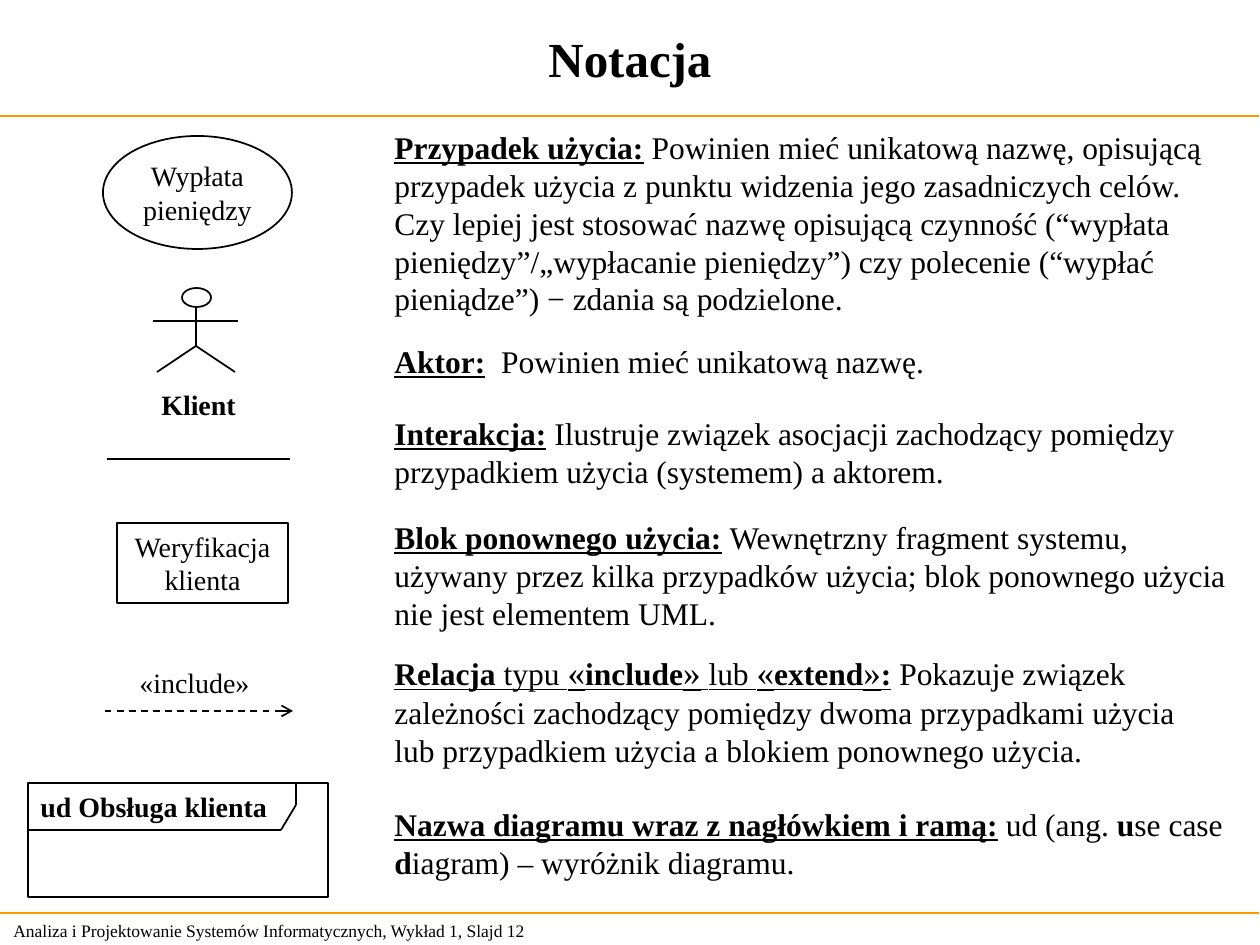
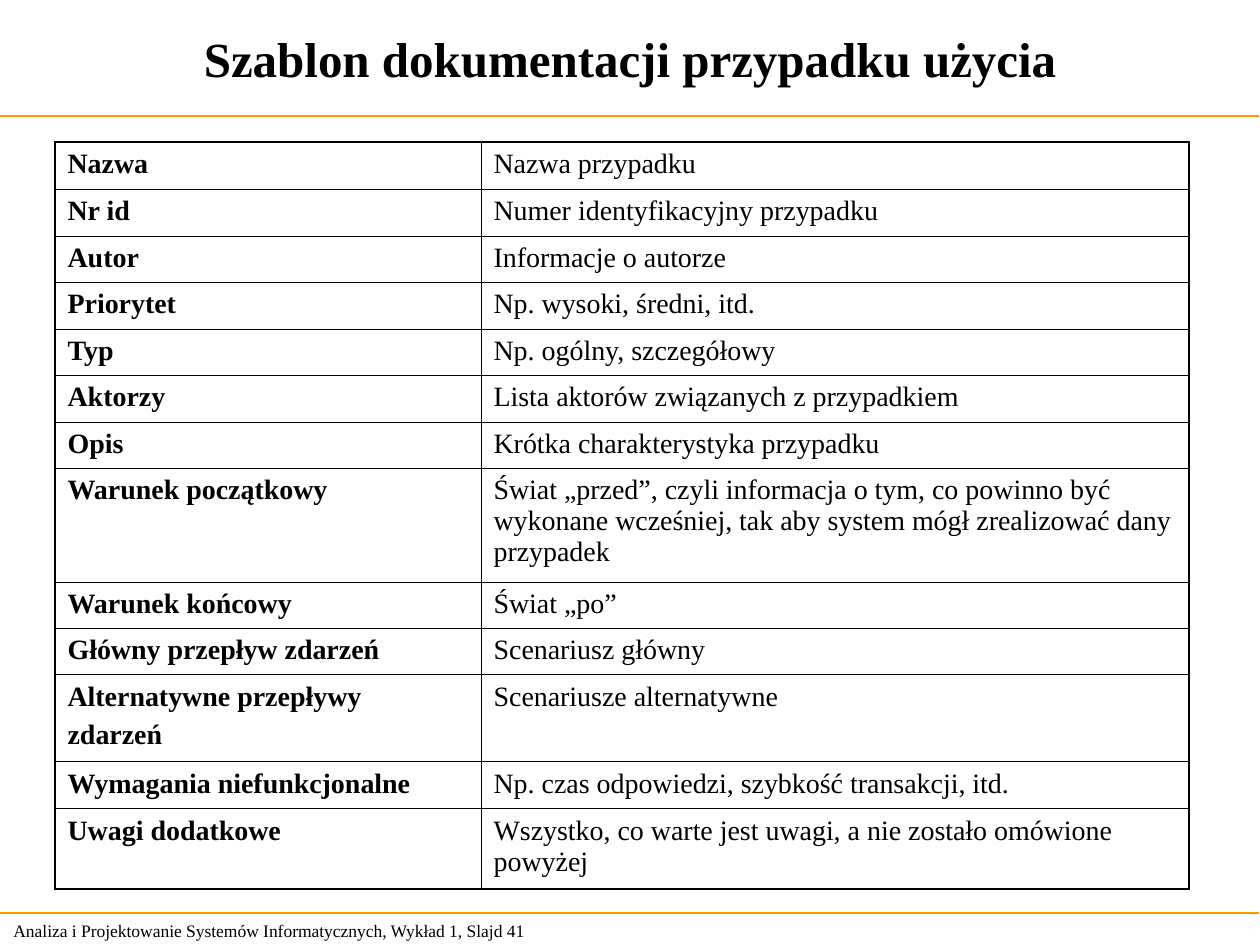
from itertools import pairwise

from lxml.etree import SubElement
from pptx import Presentation
from pptx.dml.color import RGBColor
from pptx.enum.dml import MSO_LINE
from pptx.enum.shapes import MSO_CONNECTOR, MSO_SHAPE
from pptx.enum.text import MSO_ANCHOR as ANCHOR, MSO_AUTO_SIZE, PP_ALIGN as ALIGN
from pptx.oxml.ns import qn
from pptx.util import Emu, Pt

# Shared look
SCALE = 914400 / 126
WIDTH, HEIGHT = 1260, 945
BLACK = RGBColor(0x00, 0x00, 0x00)
ORANGE = RGBColor(0xFF, 0x99, 0x00)
FONT = "Times New Roman"
LEADING = 1.2
TITLE_SIZE, TEXT_SIZE, LABEL_SIZE, FOOTER_SIZE = 28, 18, 16, 10
QUOTE_SIZE = 20
RULES = (116, 913)
FOOTER = "Analiza i Projektowanie Systemów Informatycznych, Wykład 1, Slajd {}"

# Slide 1: top, width and runs of each definition; b = bold, u = underlined, q = larger
DEFINITION_X = 382
DEFINITIONS = [
    (122, 859, 202, [
        ("Przypadek użycia:", "bu"),
        (" Powinien mieć unikatową nazwę, opisującą przypadek użycia z punktu widzenia "
         "jego zasadniczych celów. Czy lepiej jest stosować nazwę opisującą czynność "
         "(“wypłata pieniędzy”/„wypłacanie pieniędzy”) czy polecenie "
         "(“wypłać pieniądze”) − zdania są podzielone.", "")]),
    (336, 560, 50, [
        ("Aktor:", "bu"), ("  ", "b"), ("Powinien mieć unikatową nazwę.", "")]),
    (408, 854, 88, [
        ("Interakcja:", "bu"), (" ", "b"),
        ("Ilustruje związek asocjacji zachodzący pomiędzy przypadkiem użycia "
         "(systemem) a aktorem.", "")]),
    (512, 858, 126, [
        ("Blok ponownego użycia:", "bu"), (" ", "b"),
        ("Wewnętrzny fragment systemu, używany przez kilka przypadków użycia; "
         "blok ponownego użycia nie jest elementem UML.", "")]),
    (649, 847, 127, [
        ("Relacja ", "bu"), ("typu", "u"), (" ", "bu"),
        ("«", "uq"), ("include", "bu"), ("»", "uq"),
        (" ", "bu"), ("lub", "u"), (" ", "bu"),
        ("«", "uq"), ("extend", "bu"), ("»", "uq"), (":", "bu"), (" ", "b"),
        ("Pokazuje związek zależności zachodzący pomiędzy dwoma przypadkami użycia "
         "lub przypadkiem użycia a blokiem ponownego użycia.", "")]),
    (799, 854, 88, [
        ("Nazwa diagramu wraz z nagłówkiem i ramą:", "bu"), (" ud (ang. ", ""),
        ("u", "b"), ("se case ", ""), ("d", "b"),
        ("iagram) – wyróżnik diagramu.", "")]),
]

# Slide 2: documentation template
TABLE_X, TABLE_COLS = 55, (426, 708)
ROW_EDGES = (142, 189, 236, 282, 329, 375, 422, 468, 582, 628, 675, 762, 809, 889)
THIN, THICK = Pt(0.45), Pt(1.08)
FIELDS = [
    ("Nazwa", "Nazwa przypadku"),
    ("Nr id", "Numer identyfikacyjny przypadku"),
    ("Autor", "Informacje o autorze"),
    ("Priorytet", "Np. wysoki, średni, itd."),
    ("Typ", "Np. ogólny, szczegółowy"),
    ("Aktorzy", "Lista aktorów związanych z przypadkiem"),
    ("Opis", "Krótka charakterystyka przypadku"),
    ("Warunek początkowy",
     "Świat „przed”, czyli informacja o tym, co powinno być wykonane wcześniej, "
     "tak aby system mógł zrealizować dany przypadek"),
    ("Warunek końcowy", "Świat „po”"),
    ("Główny przepływ zdarzeń", "Scenariusz główny"),
    ("Alternatywne przepływy\nzdarzeń", "Scenariusze alternatywne"),
    ("Wymagania niefunkcjonalne", "Np. czas odpowiedzi, szybkość transakcji, itd."),
    ("Uwagi dodatkowe", "Wszystko, co warte jest uwagi, a nie zostało omówione powyżej"),
]


def px(n):
    return Emu(round(n * SCALE))


def box(*lengths):
    return [px(n) for n in lengths]


def apply(obj, **fmt):
    for name, value in fmt.items():
        setattr(obj, name, value)


def lines(text, flags=""):
    """Plain text as paragraphs of one run each."""
    return [[(line, flags)] for line in text.split("\n")]


def write(tf, paragraphs, size, align=ALIGN.LEFT, leading=LEADING, gap=0):
    """Fill a text frame with paragraphs given as lists of (text, flags)."""
    for i, runs in enumerate(paragraphs):
        p = tf.paragraphs[0] if i == 0 else tf.add_paragraph()
        p.alignment = align
        if leading:
            p.line_spacing = Pt(round(size * leading, 1))
        if gap and i:
            p.space_before = Pt(gap)
        for text, flags in runs:
            r = p.add_run()
            r.text = text
            apply(r.font, name=FONT, size=Pt(QUOTE_SIZE if "q" in flags else size),
                  bold="b" in flags, underline="u" in flags)
            r.font.color.rgb = BLACK


def set_frame(tf, anchor=ANCHOR.TOP, wrap=True):
    apply(tf, auto_size=MSO_AUTO_SIZE.NONE, word_wrap=wrap, vertical_anchor=anchor,
          margin_left=Pt(7.2), margin_right=Pt(7.2),
          margin_top=Pt(3.6), margin_bottom=Pt(3.6))


def add_text(shapes, place, paragraphs, size, anchor=ANCHOR.TOP, wrap=True):
    tf = shapes.add_textbox(*box(*place)).text_frame
    set_frame(tf, anchor, wrap)
    write(tf, paragraphs, size)


def add_outline(shapes, kind, place, text="", flags="", align=ALIGN.CENTER, wrap=True):
    """Unfilled shape with a thin black line and an optional label."""
    sp = shapes.add_shape(kind, *box(*place))
    sp.shadow.inherit = False
    sp.fill.background()
    sp.line.color.rgb = BLACK
    sp.line.width = Pt(1)
    if text:
        set_frame(sp.text_frame, wrap=wrap)
        write(sp.text_frame, lines(text, flags), LABEL_SIZE, align)


def add_line(shapes, start, end, color=BLACK, width=1, dashed_arrow=False):
    cxn = shapes.add_connector(MSO_CONNECTOR.STRAIGHT, *box(*start, *end))
    cxn.line.color.rgb = color
    cxn.line.width = Pt(width)
    if dashed_arrow:
        cxn.line.dash_style = MSO_LINE.DASH
        SubElement(cxn.line._get_or_add_ln(), qn("a:headEnd"), type="arrow")
    SubElement(cxn._element.spPr, qn("a:effectLst"))


def add_slide(prs, title, number):
    """Slide with the shared title, rules and footer."""
    s = prs.slides.add_slide(prs.slide_layouts[5])
    sp = s.shapes.title
    for name, value in zip(("left", "top", "width", "height"), box(0, 0, WIDTH, 116)):
        setattr(sp, name, value)
    set_frame(sp.text_frame, ANCHOR.MIDDLE)
    write(sp.text_frame, lines(title, "b"), TITLE_SIZE, ALIGN.CENTER)
    for y in RULES:
        add_line(s.shapes, (-1, y), (WIDTH - 1, y), ORANGE, 0.75)
    add_text(s.shapes, (1, 914, 599, 34), lines(FOOTER.format(number)),
             FOOTER_SIZE, ANCHOR.MIDDLE)
    return s


def add_actor(shapes):
    """Stick figure as one group."""
    parts = shapes.add_group_shape().shapes
    add_outline(parts, MSO_SHAPE.OVAL, (182, 288, 29, 19))
    neck, hip = (196, 307), (196, 346)
    for start, end in [(neck, hip), ((153, 321), (238, 321)),
                       (hip, (235, 372)), (hip, (157, 372))]:
        add_line(parts, start, end)


def add_diagram_frame(shapes):
    """Frame with a cut-corner header tab."""
    add_outline(shapes, MSO_SHAPE.RECTANGLE, (28, 783, 300, 114),
                "ud Obsługa klienta", "b", ALIGN.LEFT)
    for start, end in pairwise([(28, 830), (281, 830), (296, 805), (296, 783)]):
        add_line(shapes, start, end)


def set_borders(cell, **widths):
    tcPr = cell._tc.get_or_add_tcPr()
    for side, width in widths.items():
        ln = SubElement(tcPr, qn(f"a:ln{side}"), w=str(int(width)))
        fill = SubElement(ln, qn("a:solidFill"))
        SubElement(fill, qn("a:srgbClr"), val=str(BLACK))


def add_fields_table(shapes):
    heights = [bottom - top for top, bottom in pairwise(ROW_EDGES)]
    place = box(TABLE_X, ROW_EDGES[0], sum(TABLE_COLS), sum(heights))
    table = shapes.add_table(len(FIELDS), len(TABLE_COLS), *place).table
    apply(table, first_row=False, horz_banding=False)
    for col, width in zip(table.columns, TABLE_COLS):
        col.width = px(width)
    last = len(FIELDS) - 1
    for i, (field, height) in enumerate(zip(FIELDS, heights)):
        table.rows[i].height = px(height)
        for j, text in enumerate(field):
            cell = table.cell(i, j)
            set_borders(cell, L=THIN if j else THICK, R=THICK if j else THIN,
                        T=THIN if i else THICK, B=THICK if i == last else THIN)
            cell.fill.background()
            write(cell.text_frame, lines(text, "" if j else "b"), LABEL_SIZE,
                  leading=None, gap=4)


def build_notation(prs):
    shapes = add_slide(prs, "Notacja", 12).shapes
    # Definitions
    for y, width, height, runs in DEFINITIONS:
        add_text(shapes, (DEFINITION_X, y, width, height), [runs], TEXT_SIZE)
    # Symbols
    add_outline(shapes, MSO_SHAPE.OVAL, (103, 136, 189, 113),
                "Wypłata\npieniędzy", wrap=False)
    add_actor(shapes)
    add_text(shapes, (149, 381, 100, 45), lines("Klient", "b"), LABEL_SIZE, wrap=False)
    add_line(shapes, (107, 459), (290, 459))
    add_outline(shapes, MSO_SHAPE.RECTANGLE, (117, 523, 171, 80), "Weryfikacja\nklienta")
    add_text(shapes, (127, 659, 135, 47), lines("«include»"), LABEL_SIZE, wrap=False)
    add_line(shapes, (293, 711), (104, 711), dashed_arrow=True)
    add_diagram_frame(shapes)


def main():
    prs = Presentation()
    prs.slide_width, prs.slide_height = box(WIDTH, HEIGHT)
    build_notation(prs)
    add_fields_table(add_slide(prs, "Szablon dokumentacji przypadku użycia", 41).shapes)
    prs.save("out.pptx")


if __name__ == "__main__":
    main()
